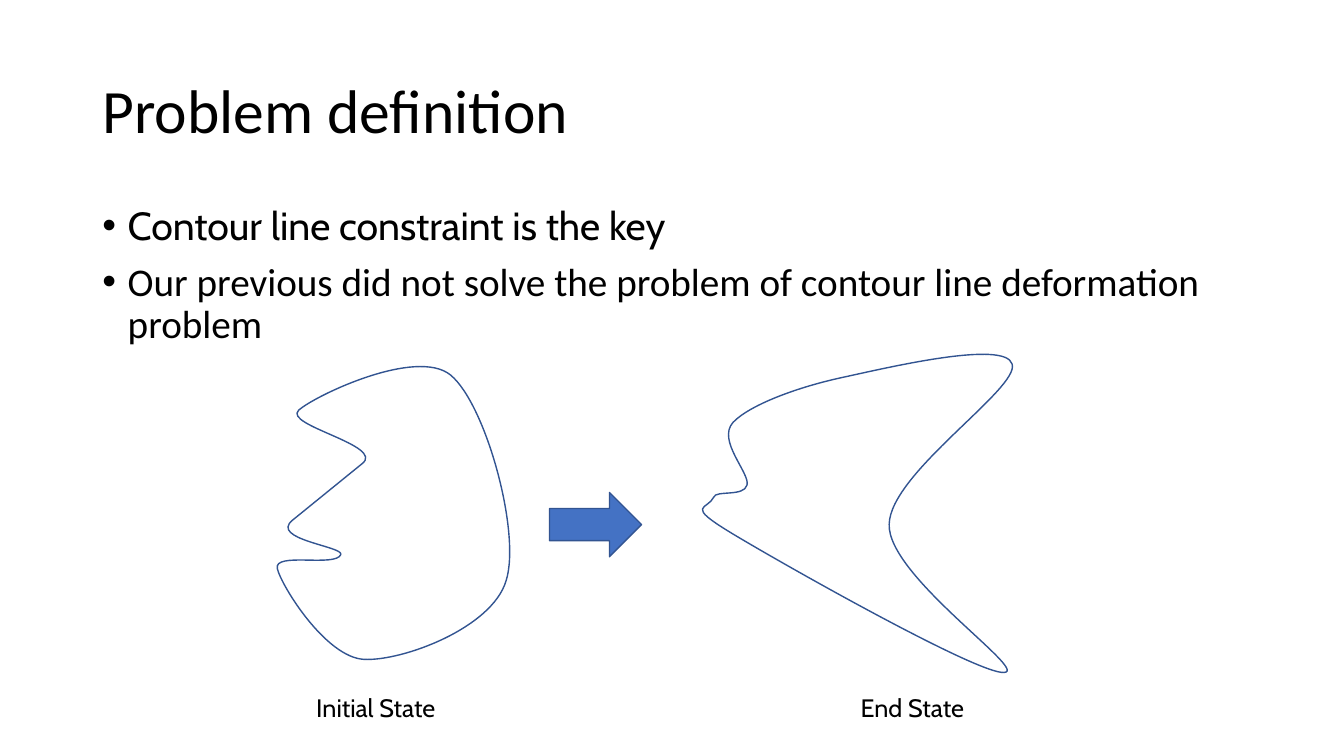
from lxml import etree
from pptx import Presentation
from pptx.dml.color import RGBColor
from pptx.enum.shapes import MSO_SHAPE as Shape
from pptx.enum.text import MSO_ANCHOR as Anchor, MSO_AUTO_SIZE as AutoSize
from pptx.oxml.ns import qn
from pptx.util import Cm, Pt

BLACK = RGBColor(0x00, 0x00, 0x00)
BLUE = RGBColor(0x44, 0x72, 0xC4)
OUTLINE = RGBColor(0x32, 0x54, 0x91)
GRID = Cm(2.54) // 100

INITIAL_CONTOUR = [
    [(0, 200)],
    [(4, 217), (48, 288), (86, 290)],
    [(124, 292), (213, 259), (227, 212)],
    [(242, 165), (207, 37), (172, 8)],
    [(138, -20), (36, 29), (21, 43)],
    [(6, 58), (108, 78), (84, 96)],
    [(15, 152)],
    [(-8, 171), (66, 178), (63, 186)],
    [(58, 199), (-4, 183), (0, 200)],
]
END_CONTOUR = [
    [(29, 178)],
    [(77, 207), (273, 318), (299, 316)],
    [(325, 315), (183, 220), (185, 169)],
    [(186, 118), (315, 34), (307, 10)],
    [(300, -14), (186, 13), (140, 23)],
    [(93, 33), (46, 51), (30, 68)],
    [(14, 86), (47, 118), (44, 130)],
    [(41, 142), (13, 135), (11, 142)],
    [(5, 155), (-19, 149), (29, 178)],
]


def style_paragraph(paragraph, text, size, font_name):
    """Fill a paragraph with black text in the given font."""
    paragraph.text = text
    paragraph.font.size = Pt(size)
    paragraph.font.name = font_name
    paragraph.font.color.rgb = BLACK


def add_bullet(paragraph):
    """Give a paragraph a round bullet with a hanging indent."""
    properties = paragraph._p.get_or_add_pPr()
    properties.set("marL", str(Cm(0.64)))
    properties.set("indent", str(-Cm(0.64)))
    font = etree.SubElement(properties, qn("a:buFont"))
    font.set("typeface", "Arial")
    bullet = etree.SubElement(properties, qn("a:buChar"))
    bullet.set("char", "•")


def add_title(slide, box, text):
    """Place the slide title, centred vertically in its box."""
    frame = slide.shapes.add_textbox(*box).text_frame
    frame.word_wrap = True
    frame.vertical_anchor = Anchor.MIDDLE
    paragraph = frame.paragraphs[0]
    style_paragraph(paragraph, text, 44, "Calibri")
    paragraph.line_spacing = 0.9


def add_body(slide, box, points):
    """Place the bulleted points, each with its own font."""
    frame = slide.shapes.add_textbox(*box).text_frame
    frame.word_wrap = True
    for index, (text, font_name) in enumerate(points):
        paragraph = frame.add_paragraph() if index else frame.paragraphs[0]
        style_paragraph(paragraph, text, 28, font_name)
        paragraph.line_spacing = 0.9
        paragraph.space_before = Pt(10)
        add_bullet(paragraph)


def style_outline(shape):
    """Apply the thin blue outline and remove the shadow."""
    shape.shadow.inherit = False
    shape.line.color.rgb = OUTLINE
    shape.line.width = Pt(1)


def bend_segments(shape, contour):
    """Turn the straight sides of a freeform into lines and Bézier curves."""
    outline = shape._element.find(".//" + qn("a:path"))
    outline.set("w", str(shape.width))
    outline.set("h", str(shape.height))
    for side, controls in zip(list(outline), contour):
        tag = "a:cubicBezTo" if len(controls) == 3 else side.tag
        segment = etree.Element(qn(tag) if tag.startswith("a:") else tag)
        for x, y in controls:
            point = etree.SubElement(segment, qn("a:pt"))
            point.set("x", str(x * GRID))
            point.set("y", str(y * GRID))
        outline.replace(side, segment)


def add_contour(slide, box, contour):
    """Draw a closed, unfilled contour in the given box."""
    anchors = [controls[-1] for controls in contour]
    builder = slide.shapes.build_freeform(*anchors[0], scale=GRID)
    builder.add_line_segments(anchors[1:], close=True)
    shape = builder.convert_to_shape()
    shape.left, shape.top, shape.width, shape.height = box
    bend_segments(shape, contour)
    shape.fill.background()
    style_outline(shape)


def add_transition_arrow(slide, box):
    """Draw the arrow between the two states."""
    arrow = slide.shapes.add_shape(Shape.RIGHT_ARROW, *box)
    arrow.fill.solid()
    arrow.fill.fore_color.rgb = BLUE
    style_outline(arrow)


def add_caption(slide, box, text):
    """Place the name of a state below its contour."""
    frame = slide.shapes.add_textbox(*box).text_frame
    frame.word_wrap = False
    frame.auto_size = AutoSize.SHAPE_TO_FIT_TEXT
    style_paragraph(frame.paragraphs[0], text, 18, "Cabin")


def main():
    """Build the slide and save the presentation."""
    presentation = Presentation()
    presentation.slide_width = Cm(33.87)
    presentation.slide_height = Cm(19.05)
    slide = presentation.slides.add_slide(presentation.slide_layouts[6])

    margin, content_width = Cm(2.33), Cm(29.21)
    add_title(slide, (margin, Cm(1.01), content_width, Cm(3.68)), "Problem definition")
    add_body(slide, (margin, Cm(5.07), content_width, Cm(12.09)), [
        ("Contour line constraint is the key", "Cabin"),
        ("Our previous did not solve the problem of contour line deformation problem", "Calibri"),
    ])
    add_contour(slide, (Cm(6.99), Cm(9.25), Cm(5.87), Cm(7.39)), INITIAL_CONTOUR)
    add_contour(slide, (Cm(17.71), Cm(8.92), Cm(7.82), Cm(8.03)), END_CONTOUR)
    add_transition_arrow(slide, (Cm(13.85), Cm(12.41), Cm(2.32), Cm(1.62)))

    caption_top, caption_height = Cm(17.32), Cm(1.03)
    add_caption(slide, (Cm(7.72), caption_top, Cm(3.56), caption_height), "Initial State")
    add_caption(slide, (Cm(21.44), caption_top, Cm(3.12), caption_height), "End State")

    presentation.save("out.pptx")


if __name__ == "__main__":
    main()
